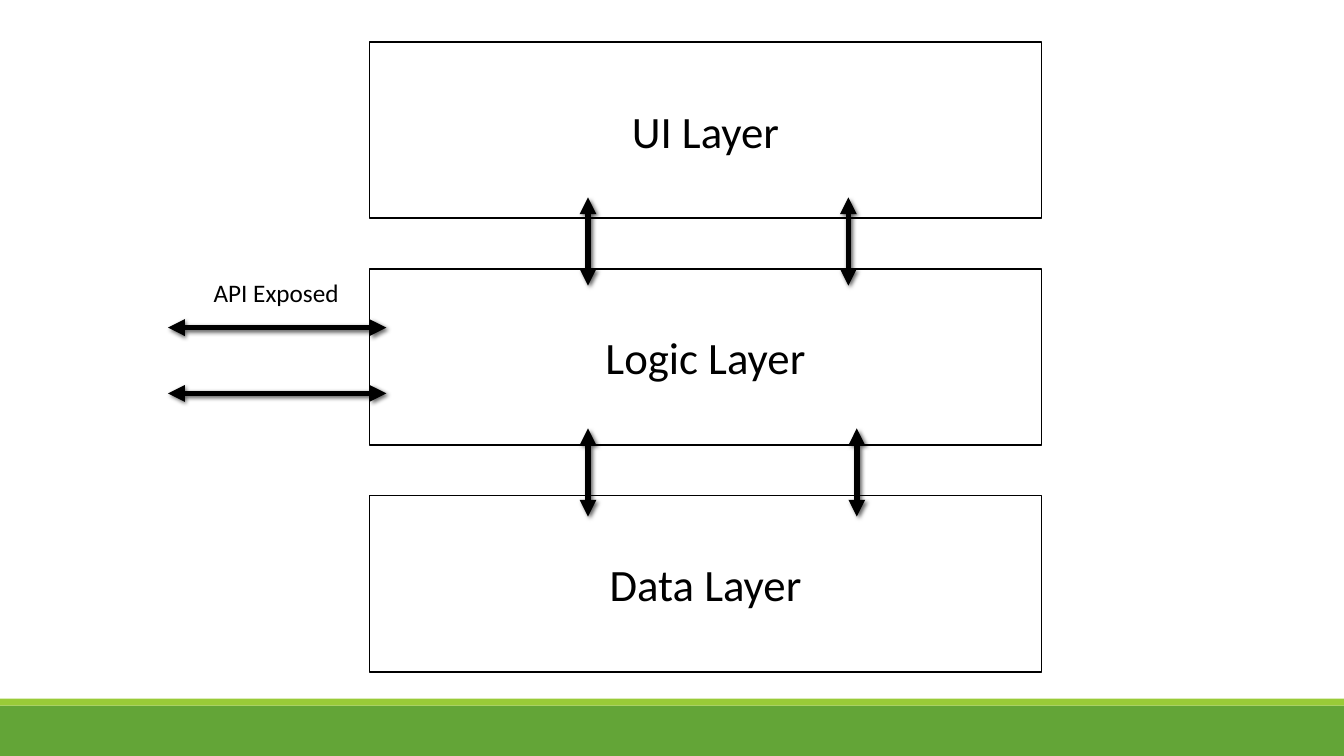
"""Build a slide showing a three-layer architecture with an exposed API."""
from dataclasses import dataclass

from lxml.etree import SubElement
from pptx import Presentation
from pptx.dml.color import RGBColor
from pptx.enum.shapes import MSO_CONNECTOR, MSO_SHAPE
from pptx.enum.text import MSO_ANCHOR, MSO_AUTO_SIZE, PP_ALIGN
from pptx.oxml import parse_xml
from pptx.oxml.ns import nsdecls, qn
from pptx.shapes.autoshape import Shape
from pptx.slide import Slide
from pptx.util import Pt


@dataclass(frozen=True)
class Theme:
    ink: str = "000000"
    paper: str = "FFFFFF"
    green: str = "63A537"
    lime: str = "99CB38"
    font: str = "Calibri"
    layer_size: float = 32
    label_size: float = 18
    border: float = 1.25
    arrow: float = 4


@dataclass(frozen=True)
class Box:
    left: float
    top: float
    width: float
    height: float
    fill: str
    text: str = ""


@dataclass(frozen=True)
class Arrow:
    x1: float
    y1: float
    x2: float
    y2: float


THEME = Theme()
WIDTH, HEIGHT = 960, 540
LAYER_TOP, LAYER_PITCH = 30, 162
ARROW_LENGTH = 63

BARS = [
    Box(0, 504, WIDTH, 36, THEME.green),
    Box(0, 499, WIDTH, 5, THEME.lime),
]
LAYERS = [
    Box(264, LAYER_TOP + i * LAYER_PITCH, 480, 126, THEME.paper, name)
    for i, name in enumerate(("UI Layer", "Logic Layer", "Data Layer"))
]
LAYER_ARROWS = [
    Arrow(x, y, x, y + ARROW_LENGTH)
    for x, y in ((420, 141), (606, 141), (420, 306), (612, 306))
]
API_ARROWS = [Arrow(276, y, 120, y) for y in (234, 281)]


def write(sp: Shape, text: str, *, size: float, align: PP_ALIGN,
          anchor: MSO_ANCHOR, wrap: bool = True) -> None:
    tf = sp.text_frame
    tf.word_wrap = wrap
    tf.vertical_anchor = anchor
    p = tf.paragraphs[0]
    p.alignment = align
    r = p.add_run()
    r.text = text
    r.font.name = THEME.font
    r.font.size = Pt(size)
    r.font.color.rgb = RGBColor.from_string(THEME.ink)


def add_box(s: Slide, box: Box) -> None:
    sp = s.shapes.add_shape(MSO_SHAPE.RECTANGLE, Pt(box.left), Pt(box.top),
                            Pt(box.width), Pt(box.height))
    sp.shadow.inherit = False
    sp.fill.solid()
    sp.fill.fore_color.rgb = RGBColor.from_string(box.fill)
    if not box.text:
        sp.line.fill.background()
        return
    sp.line.color.rgb = RGBColor.from_string(THEME.ink)
    sp.line.width = Pt(THEME.border)
    write(sp, box.text, size=THEME.layer_size, align=PP_ALIGN.CENTER,
          anchor=MSO_ANCHOR.MIDDLE)


def add_arrow(s: Slide, arrow: Arrow) -> None:
    cxn = s.shapes.add_connector(MSO_CONNECTOR.STRAIGHT, Pt(arrow.x1), Pt(arrow.y1),
                                 Pt(arrow.x2), Pt(arrow.y2))
    cxn.line.color.rgb = RGBColor.from_string(THEME.ink)
    cxn.line.width = Pt(THEME.arrow)
    ln = cxn.line._get_or_add_ln()
    for end in ("a:headEnd", "a:tailEnd"):
        SubElement(ln, qn(end), type="triangle")
    cxn._element.spPr.append(parse_xml(
        f'<a:effectLst {nsdecls("a")}>'
        f'<a:outerShdw blurRad="{Pt(3)}" dist="{Pt(2)}" dir="2700000" '
        f'algn="tl" rotWithShape="0"><a:srgbClr val="{THEME.ink}">'
        '<a:alpha val="60000"/></a:srgbClr></a:outerShdw></a:effectLst>'))


def add_label(s: Slide, text: str, left: float, top: float,
              width: float, height: float) -> None:
    sp = s.shapes.add_textbox(Pt(left), Pt(top), Pt(width), Pt(height))
    write(sp, text, size=THEME.label_size, align=PP_ALIGN.LEFT,
          anchor=MSO_ANCHOR.TOP, wrap=False)
    sp.text_frame.auto_size = MSO_AUTO_SIZE.SHAPE_TO_FIT_TEXT


def main() -> None:
    prs = Presentation()
    prs.slide_width, prs.slide_height = Pt(WIDTH), Pt(HEIGHT)
    s = prs.slides.add_slide(prs.slide_layouts[6])
    for box in BARS + LAYERS:
        add_box(s, box)
    for arrow in LAYER_ARROWS + API_ARROWS:
        add_arrow(s, arrow)
    add_label(s, "API Exposed", 145.5, 194.5, 104.5, 29)
    prs.save("out.pptx")


if __name__ == "__main__":
    main()
